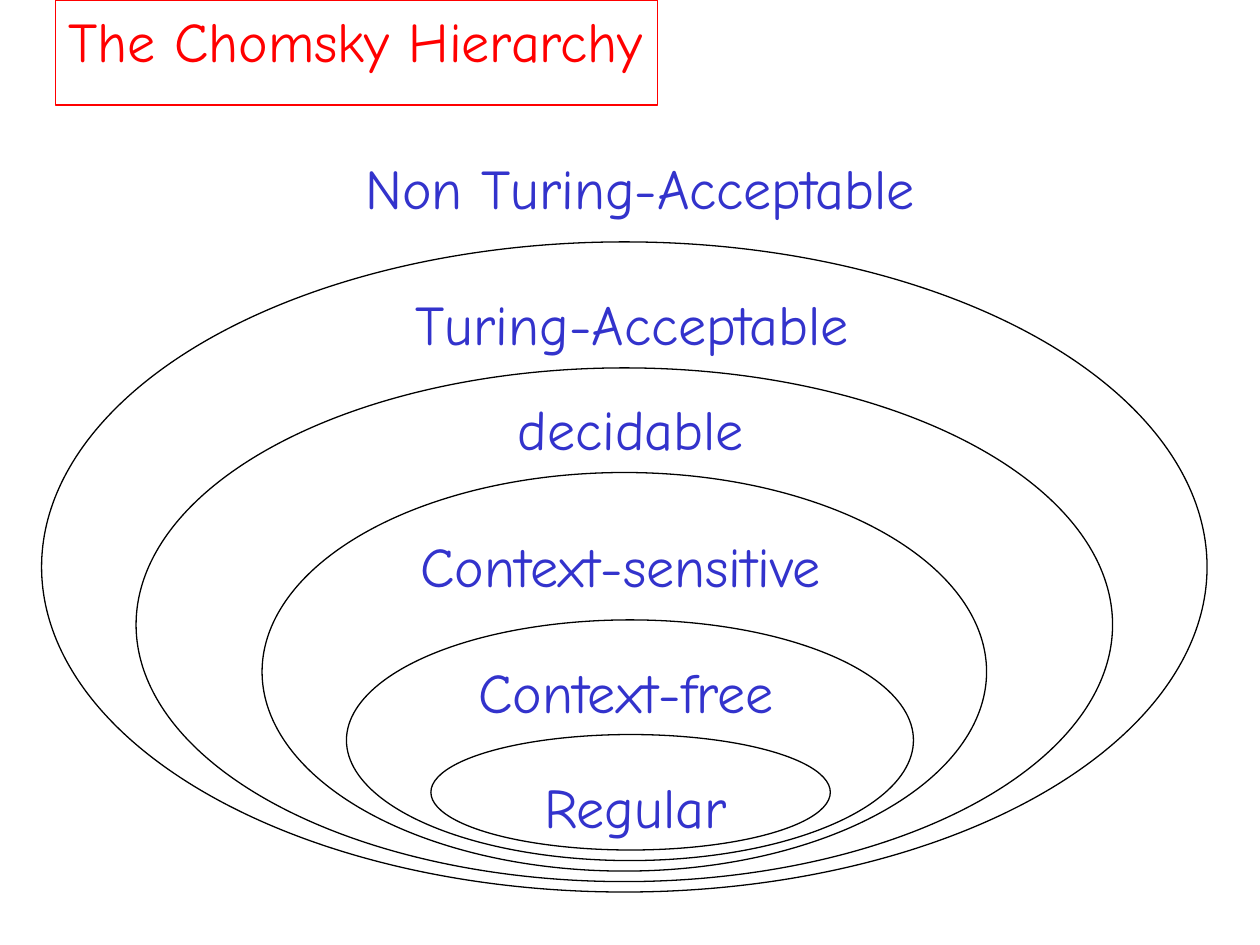
from pptx import Presentation
from pptx.dml.color import RGBColor
from pptx.enum.shapes import MSO_SHAPE
from pptx.enum.text import MSO_ANCHOR, MSO_AUTO_SIZE, PP_ALIGN
from pptx.util import Inches, Pt

FONT, TEXT_SIZE = "Comic Neue", 32
RED, BLUE, BLACK = "FF0000", "3333CC", "000000"
LINE_WIDTH = 0.75
TEXT_HEIGHT = 0.64

TITLE = ("The Chomsky Hierarchy", 0.44, 0, 4.78)

# Text, left, top, width
LABELS = [
    ("Non Turing-Acceptable", 2.8, 1.17, 4.58),
    ("Turing-Acceptable", 3.2, 2.25, 3.66),
    ("decidable", 4.01, 3.08, 2),
    ("Context-sensitive", 3.24, 4.17, 3.4),
    ("Context-free", 3.7, 5.17, 2.57),
    ("Regular", 4.22, 6.08, 1.65),
]

# Left, top, width of each language class, outermost first
ELLIPSES = [
    (0.33, 1.92, 9.25),
    (1.08, 2.92, 7.75),
    (2.08, 3.75, 5.75),
    (2.75, 4.92, 4.5),
    (3.42, 5.83, 3.17),
]
OUTER_BOTTOM = 7.08
BOTTOM_STEP = 1 / 12


def color(hex_string):
    return RGBColor.from_string(hex_string)


def outline(shape, hex_string):
    shape.line.color.rgb = color(hex_string)
    shape.line.width = Pt(LINE_WIDTH)


def write(shape, text, hex_string):
    frame = shape.text_frame
    frame.text = text
    frame.word_wrap = False
    frame.auto_size = MSO_AUTO_SIZE.SHAPE_TO_FIT_TEXT
    frame.vertical_anchor = MSO_ANCHOR.TOP
    paragraph = frame.paragraphs[0]
    paragraph.alignment = PP_ALIGN.LEFT
    paragraph.space_before = Pt(8)
    paragraph.line_spacing = 1.0
    paragraph.font.name = FONT
    paragraph.font.size = Pt(TEXT_SIZE)
    paragraph.font.color.rgb = color(hex_string)


def add_title(slide):
    text, left, top, width = TITLE
    title = slide.shapes.title
    title.left, title.top = Inches(left), Inches(top)
    title.width, title.height = Inches(width), Inches(TEXT_HEIGHT)
    write(title, text, RED)
    outline(title, RED)


def add_ellipses(slide):
    """Nest the ellipses so that their bottoms rise by an equal step."""
    for level, (left, top, width) in enumerate(ELLIPSES):
        height = OUTER_BOTTOM - level * BOTTOM_STEP - top
        ellipse = slide.shapes.add_shape(
            MSO_SHAPE.OVAL, *map(Inches, (left, top, width, height)))
        ellipse.shadow.inherit = False
        ellipse.fill.background()
        outline(ellipse, BLACK)


def add_labels(slide):
    for text, left, top, width in LABELS:
        label = slide.shapes.add_textbox(
            *map(Inches, (left, top, width, TEXT_HEIGHT)))
        write(label, text, BLUE)


def main():
    presentation = Presentation()
    presentation.slide_width, presentation.slide_height = Inches(10), Inches(7.5)
    title_only = presentation.slide_layouts[5]
    slide = presentation.slides.add_slide(title_only)
    add_title(slide)
    add_ellipses(slide)
    add_labels(slide)
    presentation.save("out.pptx")


if __name__ == "__main__":
    main()
